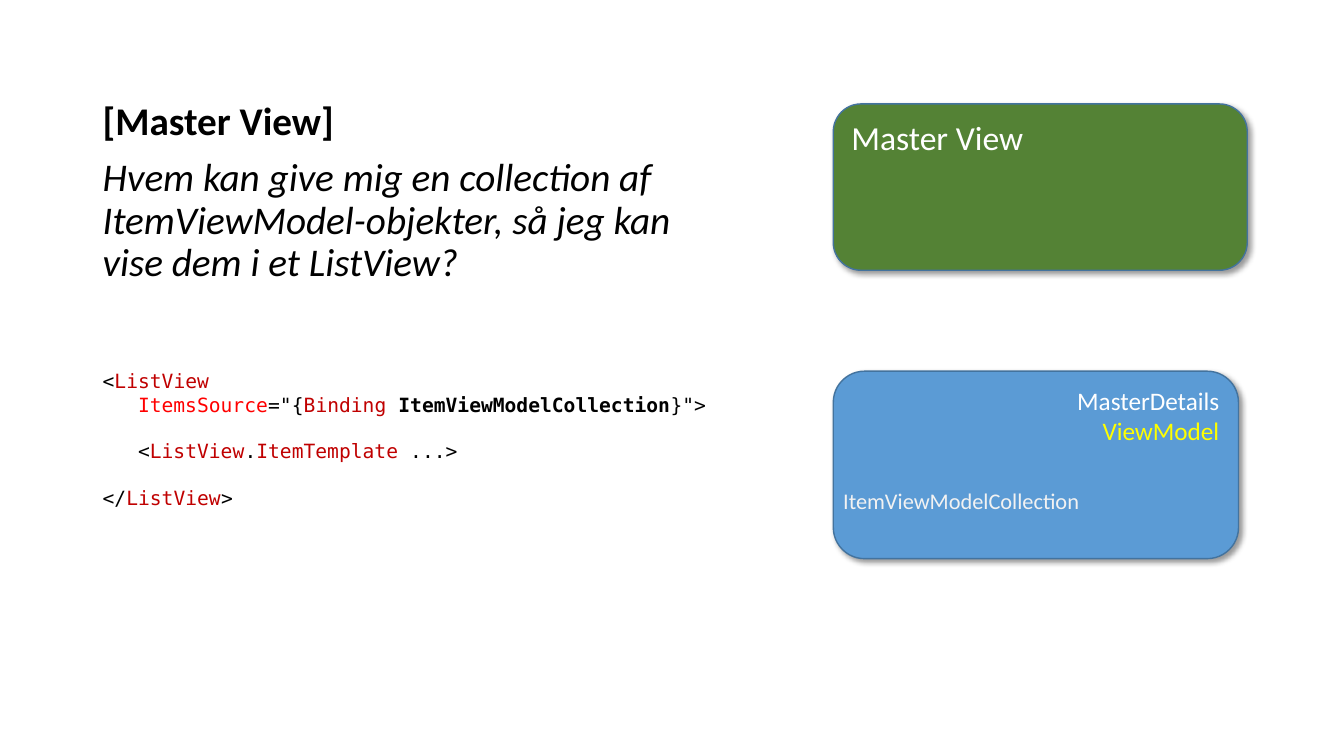
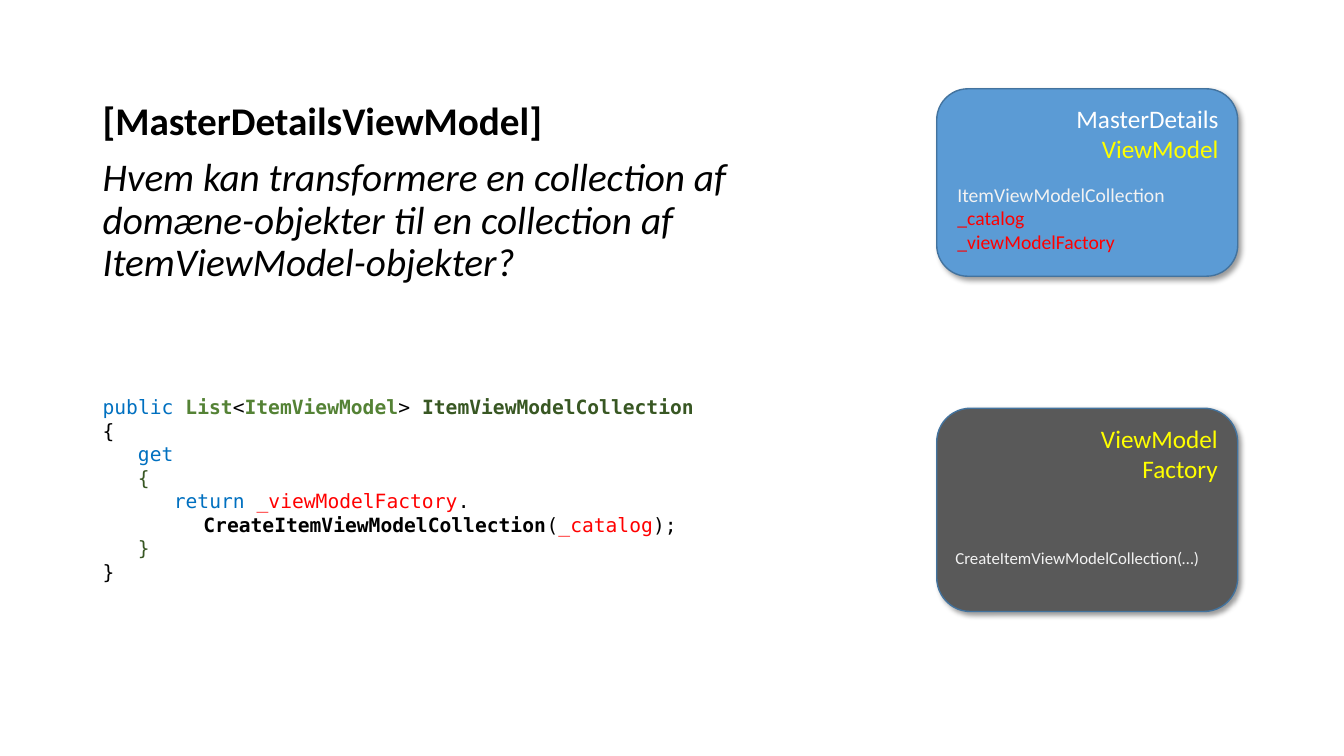
from lxml import etree
from pptx import Presentation, util as u
from pptx.dml.color import RGBColor
from pptx.enum import shapes, text
from pptx.oxml import ns

# Shared style
COLORS = {
    "black": "000000", "white": "FFFFFF", "pale": "F2F2F2", "yellow": "FFFF00",
    "red": "FF0000", "crimson": "C00000", "keyword": "0070C0",
    "green": "548235", "dark_green": "385723",
    "blue": "5B9BD5", "gray": "595959", "outline": "43739E",
}
BODY_FONT, CODE_FONT = "Calibri", "DejaVu Sans Mono"
WIDTH, HEIGHT = u.Inches(13.333), u.Inches(7.5)

# Shared positions, in percent of the slide
LEFT = 6.9
CODE_INDENTS = (0, 2.63, 5.3, 7.5)
CODE_SIZE, BLANK_LINE = 14, 16.5


def area(left, top, width, height):
    """Turn percentages of the slide into lengths."""
    return [u.Emu(round(share * side / 100)) for share, side in
            ((left, WIDTH), (top, HEIGHT), (width, WIDTH), (height, HEIGHT))]


def color(name):
    return RGBColor.from_string(COLORS[name])


def style_run(run, size, color_name, font=BODY_FONT, bold=False, italic=False):
    run.font.name, run.font.size = font, u.Pt(size)
    run.font.bold, run.font.italic = bold, italic
    run.font.color.rgb = color(color_name)


def write_lines(text_frame, lines, size, align=text.PP_ALIGN.LEFT):
    """Write (text, colour) lines, one paragraph each."""
    text_frame.text = "\n".join(words for words, _ in lines)
    for paragraph, (_, color_name) in zip(text_frame.paragraphs, lines):
        paragraph.alignment = align
        style_run(paragraph.runs[0], size, color_name)


def add_text_frame(slide, position):
    text_frame = slide.shapes.add_textbox(*area(*position)).text_frame
    text_frame.word_wrap = True
    return text_frame


def add_label(slide, position, lines, size):
    write_lines(add_text_frame(slide, position), lines, size)


def add_question(slide, role, question):
    text_frame = add_text_frame(slide, (LEFT, 12.8, 48.3, 29.5))
    text_frame.text = f"[{role}]\n{question}"
    for index, paragraph in enumerate(text_frame.paragraphs):
        paragraph.line_spacing, paragraph.space_before = 0.9, u.Pt(10)
        style_run(paragraph.runs[0], 28, "black",
                  bold=index == 0, italic=index == 1)


def add_code(slide, position, lines):
    """Write lines of (indent level, blank line above, tokens)."""
    text_frame = add_text_frame(slide, position)
    for index, (level, blank_above, tokens) in enumerate(lines):
        paragraph = text_frame.add_paragraph() if index else text_frame.paragraphs[0]
        indent = round(CODE_INDENTS[level] * WIDTH / 100)
        paragraph._p.get_or_add_pPr().set("marL", str(indent))
        if blank_above:
            paragraph.space_before = u.Pt(BLANK_LINE)
        for words, color_name, *bold in tokens:
            run = paragraph.add_run()
            run.text = words
            style_run(run, CODE_SIZE, color_name, CODE_FONT, bold=bool(bold))


def add_shadow(shape):
    shape.shadow.inherit = False
    effects = shape._element.spPr.find(ns.qn("a:effectLst"))
    shadow = etree.SubElement(effects, ns.qn("a:outerShdw"), blurRad=str(u.Pt(4)),
                              dist=str(u.Pt(3)), dir=str(45 * 60000), algn="tl")
    black = etree.SubElement(shadow, ns.qn("a:srgbClr"), val=COLORS["black"])
    etree.SubElement(black, ns.qn("a:alpha"), val="40000")


def add_card(slide, position, fill, lines, size=18, align=text.PP_ALIGN.RIGHT):
    card = slide.shapes.add_shape(shapes.MSO_SHAPE.ROUNDED_RECTANGLE, *area(*position))
    card.fill.solid()
    card.fill.fore_color.rgb = color(fill)
    card.line.color.rgb = color("outline")
    card.line.width = u.Pt(1)
    add_shadow(card)
    card.text_frame.vertical_anchor = text.MSO_ANCHOR.TOP
    write_lines(card.text_frame, lines, size, align)


def add_view_model_card(slide, left, top, width):
    add_card(slide, (left, top, width, 24.8), "blue",
             [("MasterDetails", "white"), ("ViewModel", "yellow")])


def build_master_view(slide):
    add_question(slide, "Master View",
                 "Hvem kan give mig en collection af ItemViewModel-objekter, "
                 "så jeg kan vise dem i et ListView?")

    # Cards
    add_card(slide, (62, 13.75, 30.8, 22), "green", [("Master View", "white")],
             size=24, align=text.PP_ALIGN.LEFT)
    add_view_model_card(slide, 62, 49.1, 30.15)

    # Markup
    add_code(slide, (LEFT, 48.15, 52.35, 22.9), [
        (0, False, [("<", "black"), ("ListView", "crimson")]),
        (1, False, [("ItemsSource", "red"), ('="{', "black"),
                    ("Binding ", "crimson"),
                    ("ItemViewModelCollection", "black", "bold"),
                    ('}">', "black")]),
        (1, True, [("<", "black"), ("ListView", "crimson"), (".", "black"),
                   ("ItemTemplate ", "crimson"), ("...>", "black")]),
        (0, True, [("</", "black"), ("ListView", "crimson"), (">", "black")]),
    ])
    add_label(slide, (62, 63.75, 19.8, 4.9),
              [("ItemViewModelCollection", "pale")], 16)


def build_view_model(slide):
    add_question(slide, "MasterDetailsViewModel",
                 "Hvem kan transformere en collection af domæne-objekter "
                 "til en collection af ItemViewModel-objekter?")

    # Property code
    add_code(slide, (LEFT, 51.6, 68.7, 26.5), [
        (0, False, [("public ", "keyword"), ("List", "green", "bold"),
                    ("<", "black"), ("ItemViewModel", "green", "bold"),
                    ("> ", "black"),
                    ("ItemViewModelCollection", "dark_green", "bold")]),
        (0, False, [("{", "black")]),
        (1, False, [("get", "keyword")]),
        (1, False, [("{", "dark_green")]),
        (2, False, [("return ", "keyword"), ("_viewModelFactory", "red"),
                    (".", "black")]),
        (3, False, [("CreateItemViewModelCollection", "black", "bold"),
                    ("(", "black"), ("_catalog", "red"), (");", "black")]),
        (1, False, [("}", "dark_green")]),
        (0, False, [("}", "black")]),
    ])

    # Cards with their members
    add_card(slide, (69.7, 54, 22.4, 26.9), "gray",
             [("ViewModel", "yellow"), ("Factory", "yellow")])
    add_label(slide, (70.35, 71.85, 20.3, 4),
              [("CreateItemViewModelCollection(…)", "pale")], 12)
    add_view_model_card(slide, 69.7, 11.75, 22.4)
    add_label(slide, (70.5, 23.5, 20.8, 10.8),
              [("ItemViewModelCollection", "pale"), ("_catalog", "red"),
               ("_viewModelFactory", "red")], 14)


def main():
    presentation = Presentation()
    presentation.slide_width, presentation.slide_height = WIDTH, HEIGHT
    for build in (build_master_view, build_view_model):
        build(presentation.slides.add_slide(presentation.slide_layouts[6]))
    presentation.save("out.pptx")


if __name__ == "__main__":
    main()
